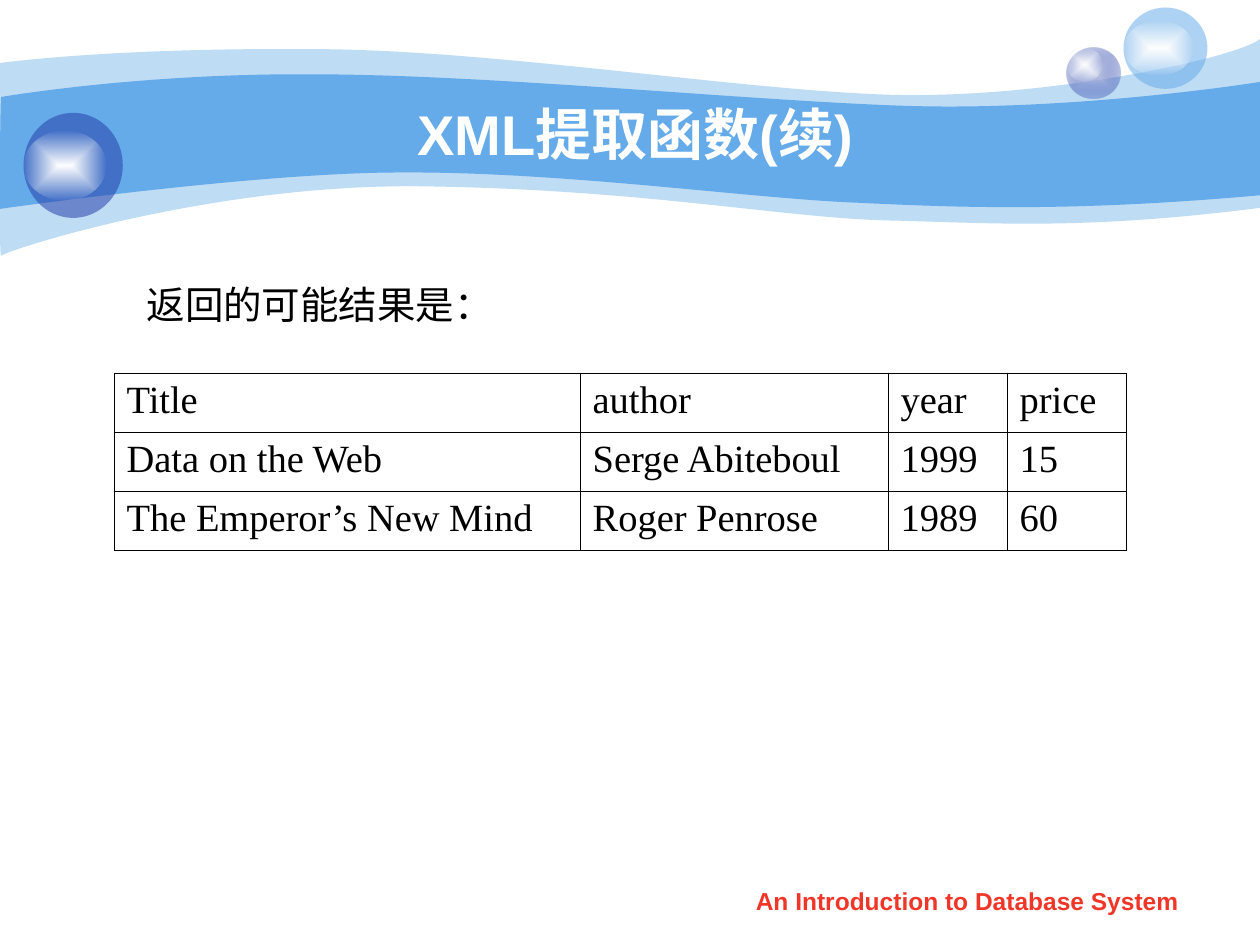
import dataclasses

import pptx
import pptx.dml.color
import pptx.enum.shapes
import pptx.enum.text
import pptx.oxml.ns
import pptx.util
from lxml import etree

Pt = pptx.util.Pt
qn = pptx.oxml.ns.qn
RGB = pptx.dml.color.RGBColor.from_string
ALIGN = pptx.enum.text.PP_ALIGN
ANCHOR = pptx.enum.text.MSO_ANCHOR


@dataclasses.dataclass(frozen=True)
class Theme:
    sky: str = "65AAE9"
    navy: str = "233DA9"
    lilac: str = "C7CEE9"
    white: str = "FFFFFF"
    black: str = "000000"
    red: str = "F03628"
    heading_font: str = "Arial"
    body_font: str = "Times New Roman"
    title_size: int = 32
    body_size: int = 22
    footer_size: int = 14


THEME = Theme()

OUTER_WAVE = (
    [(0, 36), (17.3, 33.8), (77, 27.4), (177.8, 28.1), (277.9, 28.1), (414, 50.4),
     (503.3, 54), (591.8, 57.6), (705.6, 33.8), (720, 22.3)],
    [(720, 118.8), (617.8, 131.8), (566.6, 127.4), (507.6, 126), (447.8, 124.6),
     (370.8, 108.7), (247, 106.6), (123.8, 103.7), (2.9, 143.3), (0.7, 146.2),
     (-0.7, 149.8), (0, 54), (0, 36)],
)
INNER_WAVE = (
    [(0.7, 55.4), (1.4, 55.4), (79.2, 41.8), (178.6, 42.5), (277.9, 42.5), (428.4, 57.6),
     (517, 60.5), (605.5, 63.4), (702.7, 49.7), (720, 46.8)],
    [(720, 111.6), (614.2, 121), (550.8, 118.8), (491, 115.9), (431.3, 113.8),
     (321.8, 97.9), (228.2, 98.6), (146.2, 98.6), (-1.4, 119.5), (-0.7, 119.5),
     (0, 119.5), (0, 55.4), (0.7, 55.4)],
)
BOOKS = [
    ("Title", "author", "year", "price"),
    ("Data on the Web", "Serge Abiteboul", "1999", "15"),
    ("The Emperor’s New Mind", "Roger Penrose", "1989", "60"),
]


def paint(shape, stops):
    shape.shadow.inherit = False
    shape.line.fill.background()
    if len(stops) == 1:
        shape.fill.solid()
        shape.fill.fore_color.rgb = RGB(stops[0][0])
    else:
        shape.fill.gradient()
        for position, (stop, (color, _)) in enumerate(zip(shape.fill.gradient_stops, stops)):
            stop.position = position
            stop.color.rgb = RGB(color)
        gradient = shape._element.spPr.find(qn("a:gradFill"))
        gradient.remove(gradient.find(qn("a:lin")))
        focus = etree.SubElement(gradient, qn("a:path"), path="rect")
        etree.SubElement(focus, qn("a:fillToRect"), l="50000", t="50000", r="50000", b="50000")
    for node, (_, opacity) in zip(shape._element.spPr.iter(qn("a:srgbClr")), stops):
        if opacity < 100:
            etree.SubElement(node, qn("a:alpha"), val=str(opacity * 1000))


def bend(lines):
    for first in range(0, len(lines), 3):
        curve = etree.Element(qn("a:cubicBezTo"))
        lines[first].addprevious(curve)
        for line in lines[first:first + 3]:
            curve.append(line[0])
            line.getparent().remove(line)


def add_wave(page, edges, opacity):
    top, bottom = edges
    points = [(x * 10, y * 10) for x, y in top + bottom]
    builder = page.shapes.build_freeform(*points[0], scale=Pt(0.1))
    builder.add_line_segments(points[1:], close=True)
    wave = builder.convert_to_shape()
    lines = list(wave._element.spPr.iter(qn("a:lnTo")))
    bend(lines[:len(top) - 1])
    bend(lines[len(top):])
    paint(wave, [(THEME.sky, opacity)])


def add_bubble(page, ball, ball_stops, shine):
    group = page.shapes.add_group_shape()
    shine_stops = [(THEME.white, 100), (THEME.white, 0)]
    for frame, stops in ((ball, ball_stops), (shine, shine_stops)):
        oval = group.shapes.add_shape(
            pptx.enum.shapes.MSO_SHAPE.OVAL, *(Pt(length) for length in frame))
        paint(oval, stops)


def style(paragraph, font, size, color, bold=False):
    paragraph.font.name = font
    paragraph.font.size = Pt(size)
    paragraph.font.color.rgb = RGB(color)
    paragraph.font.bold = bold


def add_text(page, frame, text, font, size, color, bold=False,
             align=ALIGN.LEFT, anchor=ANCHOR.MIDDLE, wrap=True):
    box = page.shapes.add_textbox(*(Pt(length) for length in frame))
    box.text_frame.word_wrap = wrap
    box.text_frame.vertical_anchor = anchor
    para = box.text_frame.paragraphs[0]
    para.text = text
    para.alignment = align
    style(para, font, size, color, bold)


def add_borders(cell):
    properties = cell._tc.get_or_add_tcPr()
    for side in ("a:lnL", "a:lnR", "a:lnT", "a:lnB"):
        line = etree.SubElement(properties, qn(side), w=str(Pt(0.45)))
        fill = etree.SubElement(line, qn("a:solidFill"))
        etree.SubElement(fill, qn("a:srgbClr"), val=THEME.black)


def add_book_table(page, left, top, widths, row_height):
    table = page.shapes.add_table(
        len(BOOKS), len(widths), Pt(left), Pt(top),
        Pt(sum(widths)), Pt(row_height * len(BOOKS))).table
    table.first_row = False
    table.horz_banding = False
    for column, width in zip(table.columns, widths):
        column.width = Pt(width)
    for row, values in zip(table.rows, BOOKS):
        row.height = Pt(row_height)
        for cell, value in zip(row.cells, values):
            cell.text = value
            style(cell.text_frame.paragraphs[0], THEME.body_font, THEME.body_size, THEME.black)
            add_borders(cell)
            cell.fill.background()


def main():
    deck = pptx.Presentation()
    deck.slide_width, deck.slide_height = Pt(720), Pt(540)
    page = deck.slides.add_slide(deck.slide_layouts[6])

    add_wave(page, OUTER_WAVE, 41)
    add_wave(page, INNER_WAVE, 100)
    add_bubble(page, (609.4, 27, 31, 29.2), [(THEME.lilac, 100), (THEME.navy, 31)],
               (609.4, 27, 20.5, 19.5))
    add_bubble(page, (642, 4.3, 48, 46.5), [(THEME.sky, 53)], (642, 12, 40, 31))
    add_bubble(page, (13.5, 64.5, 56.7, 60), [(THEME.navy, 53)], (13.5, 74.5, 47.3, 40))

    add_text(page, (410.8, 502.5, 284, 25), "An Introduction to Database System",
             THEME.heading_font, THEME.footer_size, THEME.red, bold=True,
             align=ALIGN.CENTER, anchor=ANCHOR.TOP)
    add_text(page, (72, 53.7, 582, 44.7), "XML提取函数(续)",
             THEME.heading_font, THEME.title_size, THEME.white, bold=True,
             align=ALIGN.CENTER)
    add_text(page, (76.7, 157, 212, 34), "返回的可能结果是：",
             THEME.body_font, THEME.body_size, THEME.black, wrap=False)
    add_book_table(page, 65.2, 213.2, (266.3, 176, 68, 68), 33.75)

    deck.save("out.pptx")


if __name__ == "__main__":
    main()
